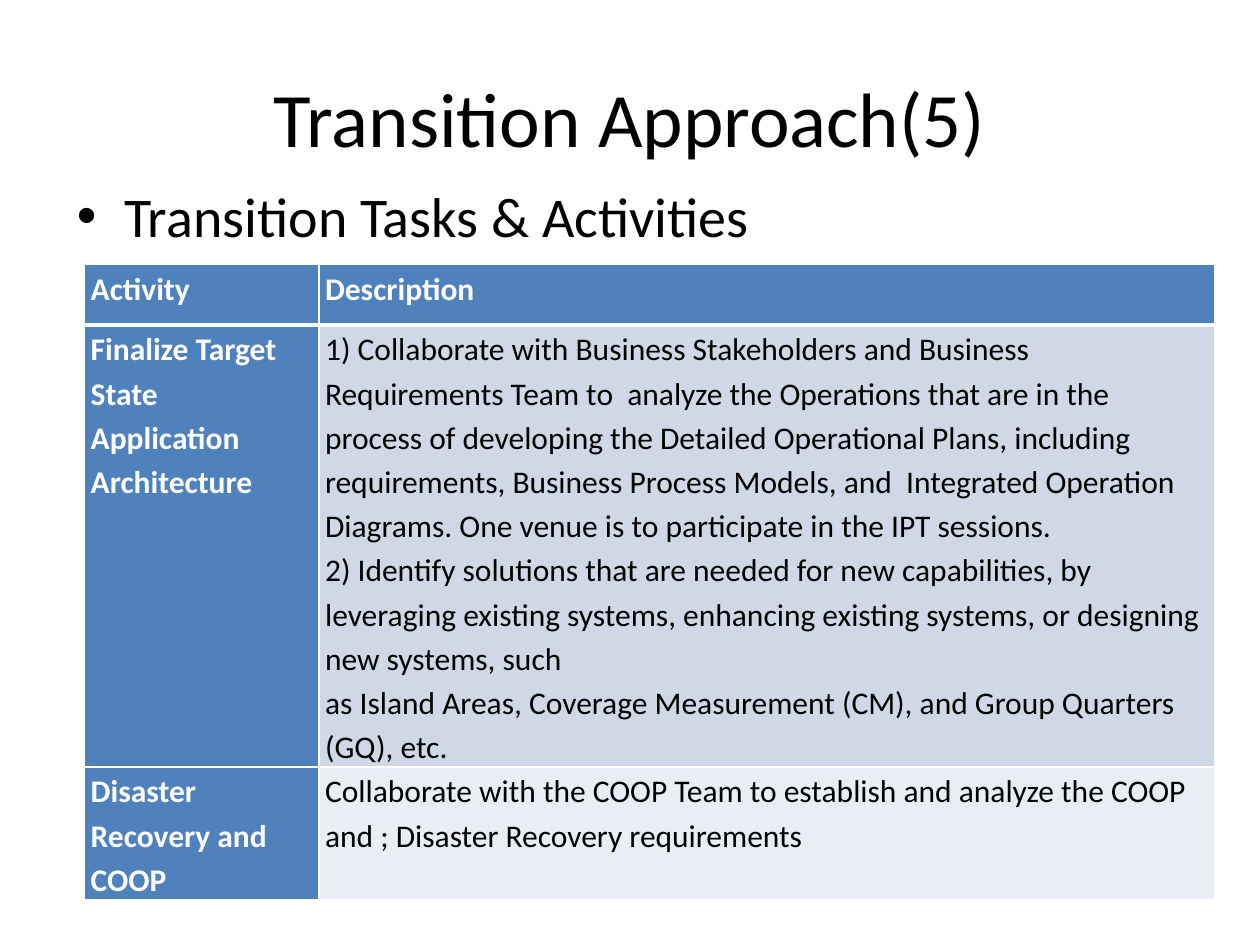
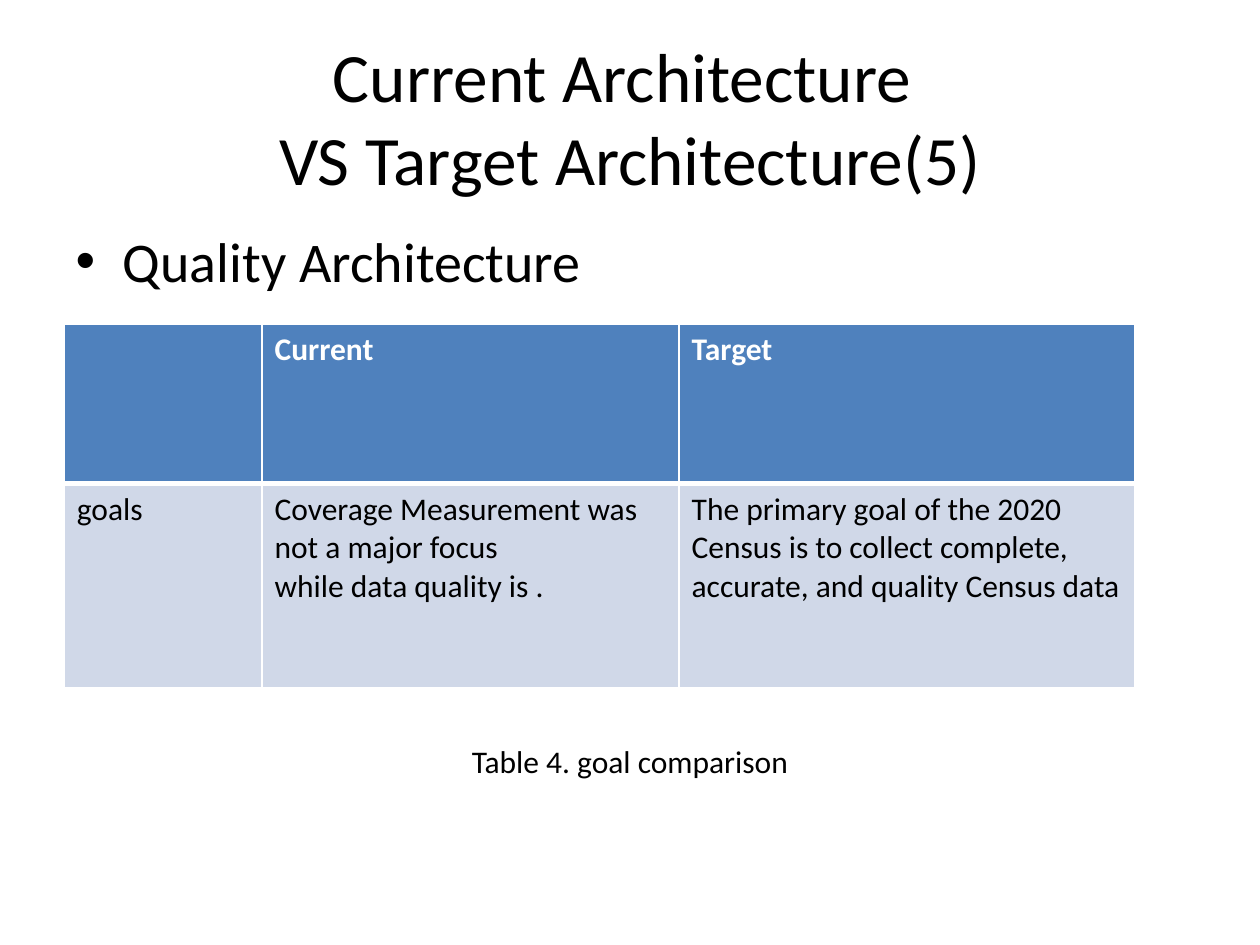
import pptx
import pptx.util
import pptx.dml.color
import pptx.enum.text
import pptx.oxml
import pptx.oxml.ns

Inches, Pt = pptx.util.Inches, pptx.util.Pt
FONT = "Calibri"
BLACK, WHITE = "000000", "FFFFFF"
HEADER_BLUE = "4F81BD"
BANDS = ["D0D8E8", "E9EDF4"]


def color(hex_string):
    return pptx.dml.color.RGBColor.from_string(hex_string)


def style(p, size, hex_color=BLACK, bold=False):
    for r in p.runs:
        r.font.name = FONT
        r.font.size = Pt(size)
        r.font.bold = bold
        r.font.color.rgb = color(hex_color)


def place(sp, box):
    sp.left, sp.top, sp.width, sp.height = [Inches(v) for v in box]
    sp.text_frame.auto_size = pptx.enum.text.MSO_AUTO_SIZE.NONE


def add_slide(prs, title, size, bullet, body_box):
    """Add a slide with its title and one bulleted line."""
    s = prs.slides.add_slide(prs.slide_layouts[1])
    place(s.shapes.title, (0.5, 0.3, 9, 1.25))
    tf = s.shapes.title.text_frame
    tf.text = title
    tf.vertical_anchor = pptx.enum.text.MSO_ANCHOR.MIDDLE
    style(tf.paragraphs[0], size)

    body = s.placeholders[1]
    place(body, body_box)
    body.text_frame.text = bullet
    style(body.text_frame.paragraphs[0], 32)
    return s


def add_caption(s, text, gap):
    """Add a centred caption below the bullet, leaving room for the table."""
    p = s.placeholders[1].text_frame.add_paragraph()
    p.text = text
    p.alignment = pptx.enum.text.PP_ALIGN.CENTER
    p.space_before = Pt(gap)
    pPr = p._p.get_or_add_pPr()
    pPr.set("marL", "0")
    pPr.set("indent", "0")
    pPr.append(pptx.oxml.parse_xml(f'<a:buNone {pptx.oxml.ns.nsdecls("a")}/>'))
    style(p, 18)


def set_borders(cell, top, bottom):
    tcPr = cell._tc.get_or_add_tcPr()
    for side, width in (("L", 1), ("R", 1), ("T", top), ("B", bottom)):
        tcPr.append(pptx.oxml.parse_xml(
            f'<a:ln{side} {pptx.oxml.ns.nsdecls("a")} w="{Pt(width)}">'
            f'<a:solidFill><a:srgbClr val="{WHITE}"/></a:solidFill></a:ln{side}>'))


def add_table(s, left, top, cols, heights, rows, row_heads=False,
              margins=(0.1, 0.05), spacing=None):
    """Add a table with a blue header, banded rows and optional row heads."""
    box = [Inches(v) for v in (left, top, sum(cols), sum(heights))]
    table = s.shapes.add_table(len(rows), len(cols), *box).table
    table.first_col = row_heads
    for column, width in zip(table.columns, cols):
        column.width = Inches(width)
    for i, (row, height) in enumerate(zip(rows, heights)):
        table.rows[i].height = Inches(height)
        for j, text in enumerate(row):
            cell = table.cell(i, j)
            head = i == 0 or (row_heads and j == 0)
            set_borders(cell, top=3 if i == 1 else 1, bottom=3 if i == 0 else 1)
            cell.fill.solid()
            cell.fill.fore_color.rgb = color(HEADER_BLUE if head else BANDS[(i - 1) % 2])
            cell.margin_left = cell.margin_right = Inches(margins[0])
            cell.margin_top = cell.margin_bottom = Inches(margins[1])
            p = cell.text_frame.paragraphs[0]
            p.text = text
            if spacing:
                p.line_spacing = spacing
            style(p, 18, WHITE if head else BLACK, head)


def transition_slide(prs):
    s = add_slide(prs, "Transition Approach(5)", 44,
                  "Transition Tasks & Activities", (0.51, 1.39, 9, 4.95))
    rows = [
        ("Activity", "Description"),
        ("Finalize Target State Application Architecture",
         "1) Collaborate with Business Stakeholders and Business Requirements Team to  "
         "analyze the Operations that are in the process of developing the Detailed "
         "Operational Plans, including requirements, Business Process Models, and  "
         "Integrated Operation Diagrams. One venue is to participate in the IPT sessions. \v"
         "2) Identify solutions that are needed for new capabilities, by leveraging "
         "existing systems, enhancing existing systems, or designing new systems, such\v"
         "as Island Areas, Coverage Measurement (CM), and Group Quarters (GQ), etc."),
        ("Disaster Recovery and COOP",
         "Collaborate with the COOP Team to establish and analyze the COOP and ; "
         "Disaster Recovery requirements"),
    ]
    add_table(s, 0.67, 2.1, (1.86, 7.11), (0.48, 3.5, 1.04), rows,
              row_heads=True, margins=(0.05, 0), spacing=1.15)


def architecture_slide(prs):
    s = add_slide(prs, "Current Architecture \vVS Target Architecture(5)", 39.6,
                  "Quality Architecture", (0.5, 1.75, 9, 4.95))
    add_caption(s, "Table 4. goal comparison", 256)
    rows = [
        ("", "Current", "Target"),
        ("goals",
         "Coverage Measurement was not a major focus \vwhile data quality is .",
         "The primary goal of the 2020 Census is to collect complete, accurate, "
         "and quality Census data"),
    ]
    add_table(s, 0.51, 2.57, (1.57, 3.31, 3.62), (1.27, 1.62), rows)


def main():
    prs = pptx.Presentation()
    prs.slide_width, prs.slide_height = Inches(10), Inches(7.5)
    transition_slide(prs)
    architecture_slide(prs)
    prs.save("out.pptx")


if __name__ == "__main__":
    main()
